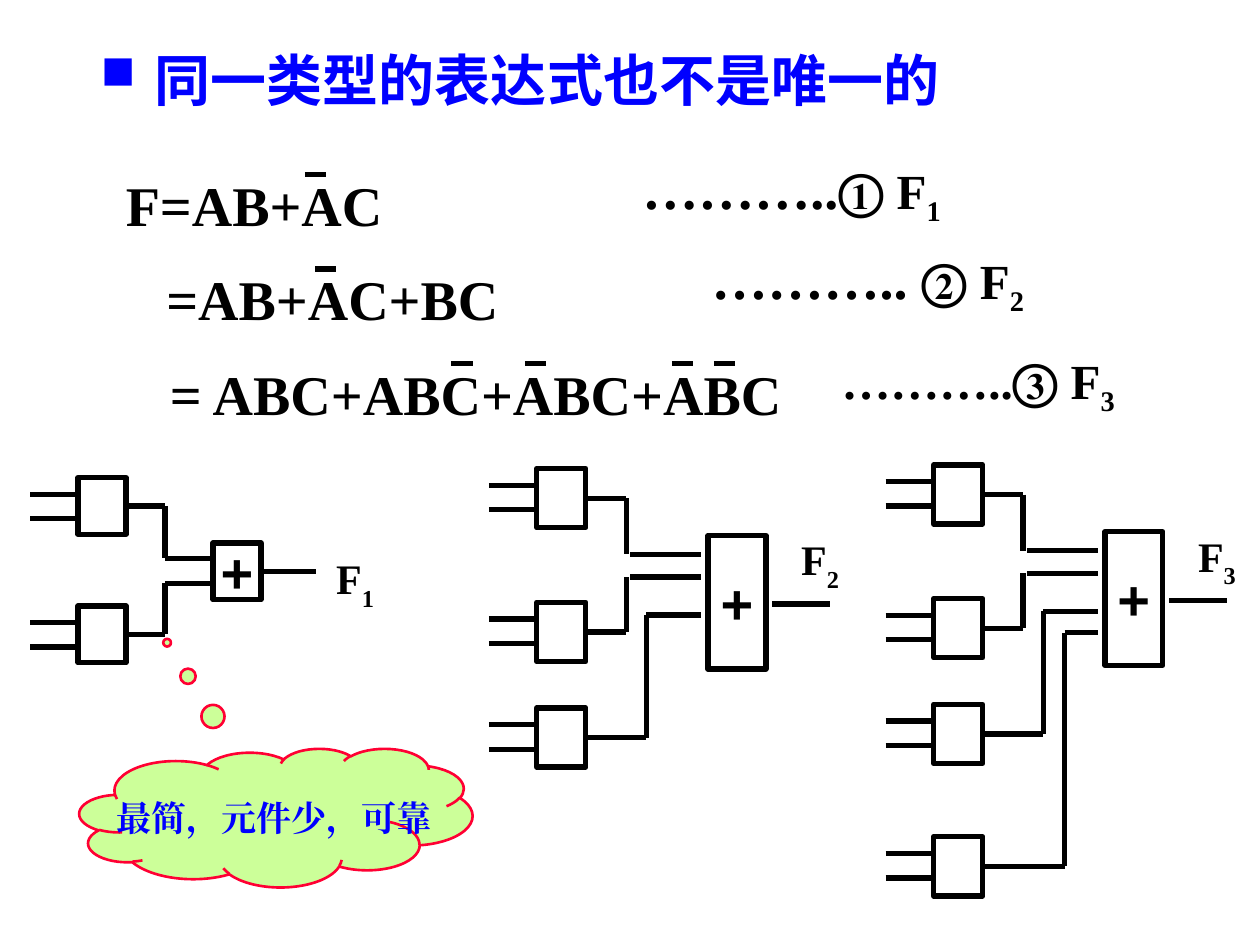
from lxml import etree
from pptx import Presentation
from pptx.dml.color import RGBColor
from pptx.enum import shapes, text
from pptx.oxml import ns
from pptx.util import Pt

BLACK = RGBColor(0x00, 0x00, 0x00)
BLUE = RGBColor(0x00, 0x00, 0xFF)
RED = RGBColor(0xFF, 0x00, 0x33)
GREEN = RGBColor(0xCC, 0xFF, 0x99)
SERIF = "Times New Roman"

prs = Presentation()
prs.slide_width, prs.slide_height = Pt(720), Pt(540)
s = prs.slides.add_slide(prs.slide_layouts[6])


def write(sp, *runs, font=SERIF, color=BLACK, align=None, wrap=True):
    tf = sp.text_frame
    tf.word_wrap = wrap
    p = tf.paragraphs[0]
    p.alignment = align
    for content, size, baseline in runs:
        r = p.add_run()
        r.text = content
        r.font.size = Pt(size)
        r.font.bold = True
        r.font.name = font
        r.font.color.rgb = color
        rPr = r.font._element
        etree.SubElement(rPr, ns.qn("a:ea")).set("typeface", font)
        if baseline:
            rPr.set("baseline", str(baseline * 1000))
    return p


def line(x1, y1, x2, y2):
    c = s.shapes.add_connector(shapes.MSO_CONNECTOR.STRAIGHT, Pt(x1), Pt(y1), Pt(x2), Pt(y2))
    c.line.color.rgb = BLACK
    c.line.width = Pt(3)
    etree.SubElement(c._element.spPr, ns.qn("a:effectLst"))
    return c


sp = s.shapes.add_textbox(Pt(50.4), Pt(22.3), Pt(619), Pt(46))
p = write(sp, ("同一类型的表达式也不是唯一的", 32, 0), font="Noto Sans CJK SC", color=BLUE)
pPr = p._p.get_or_add_pPr()
pPr.set("marL", str(Pt(31)))
pPr.set("indent", str(-Pt(31)))
clr = etree.SubElement(pPr, ns.qn("a:buClr"))
etree.SubElement(clr, ns.qn("a:srgbClr")).set("val", str(BLUE))
etree.SubElement(pPr, ns.qn("a:buSzPct")).set("val", "84000")
etree.SubElement(pPr, ns.qn("a:buChar")).set("char", "■")

formulas = [
    (64.8, 93.6, 176, "F=AB+AC", [174.2]),
    (88, 147.6, 236, "=AB+AC+BC", [180]),
    (90, 201.6, 378, "= ABC+ABC+ABC+ABC", [258, 300, 384, 408]),
]
for x, y, w, formula, bars in formulas:
    sp = s.shapes.add_textbox(Pt(x), Pt(y), Pt(w), Pt(46))
    write(sp, (formula, 32, 0))
    for bar in bars:
        line(bar, y + 6.2, bar + 12, y + 6.2)

references = [
    (360, 84.2, 276, "………..", 32, "① F", "1"),
    (399.6, 135.4, 276, "……….. ", 32, "② F", "2"),
    (473.8, 196.6, 240, "………..", 28, "③ F", "3"),
]
for x, y, w, dots, size, name, index in references:
    sp = s.shapes.add_textbox(Pt(x), Pt(y), Pt(w), Pt(48))
    write(sp, (dots, size, 0), (name, 28, 0), (index, 28, -25))

rows = [0, 76.4, 136.8, 212.5]
wires = [(51.1, 49, 53.3), (51.1, 62, 53.3), (62.6, 83.6, 62.6), (74.9, 95.8, 74.9)]
circuits = [
    dict(x=44.6, y=272.9, gate=(27.4, 32.4), rows=[0, 73.4],
         wires=[(49.7, 46.1, 49.7), (49.7, 60.5, 49.7)], entry=77.1,
         adder=(77.1, 37.4, 27.4, 32.4), out=(104.5, 53.6, 136.1),
         label=(140.4, 39.5), index="1"),
]
for x, y, count in [(306.7, 267.8, 3), (533.5, 265.7, 4)]:
    circuits.append(dict(
        x=x, y=y, gate=(28.1, 33.8), rows=rows[:count], wires=wires[:count], entry=93.7,
        adder=(97.9, 38.2, 33.1, 76.3), out=(134.6, 77.4, 167.5),
        label=(144, 33.8), index=str(count - 1)))

for c in circuits:
    x, y = c["x"], c["y"]
    gw, gh = c["gate"]
    boxes = [(0, row, gw, gh) for row in c["rows"]] + [c["adder"]]
    rects = []
    for bx, by, bw, bh in boxes:
        sp = s.shapes.add_shape(shapes.MSO_SHAPE.RECTANGLE, Pt(x + bx), Pt(y + by), Pt(bw), Pt(bh))
        sp.shadow.inherit = False
        sp.fill.background()
        sp.line.color.rgb = BLACK
        sp.line.width = Pt(3)
        rects.append(sp)
    adder = rects.pop()
    adder.text_frame.vertical_anchor = text.MSO_ANCHOR.MIDDLE
    write(adder, ("+", 32, 0), font="Arial", align=text.PP_ALIGN.CENTER, wrap=False)

    for gate, row, (trunk, level, start) in zip(rects, c["rows"], c["wires"]):
        for dy in (9.5, 23.5):
            line(x - 27.4, y + row + dy, x, y + row + dy)
        mid = y + row + gh / 2
        line(x + gw, mid, x + trunk, mid).begin_connect(gate, 3)
        line(x + trunk, mid, x + trunk, y + level)
        line(x + start, y + level, x + c["entry"], y + level)

    x1, dy, x2 = c["out"]
    out = line(x + x1, y + dy, x + x2, y + dy)
    if x1 == c["adder"][0] + c["adder"][2]:
        out.begin_connect(adder, 3)
    lx, ly = c["label"]
    sp = s.shapes.add_textbox(Pt(x + lx), Pt(y + ly), Pt(41.8), Pt(41))
    write(sp, ("F", 24, 0), (c["index"], 24, -30))

sp = s.shapes.add_shape(shapes.MSO_SHAPE.CLOUD_CALLOUT, Pt(45.4), Pt(427.7), Pt(224.6), Pt(79.2))
sp.shadow.inherit = False
sp.adjustments[0] = -0.277
sp.adjustments[1] = -1.263
sp.fill.solid()
sp.fill.fore_color.rgb = GREEN
sp.line.color.rgb = RED
sp.line.width = Pt(1.5)
sp = s.shapes.add_textbox(Pt(55.4), Pt(451.4), Pt(202.3), Pt(31.7))
write(sp, ("最简，元件少，可靠", 20, 0), color=BLUE, align=text.PP_ALIGN.CENTER)

prs.save("out.pptx")
